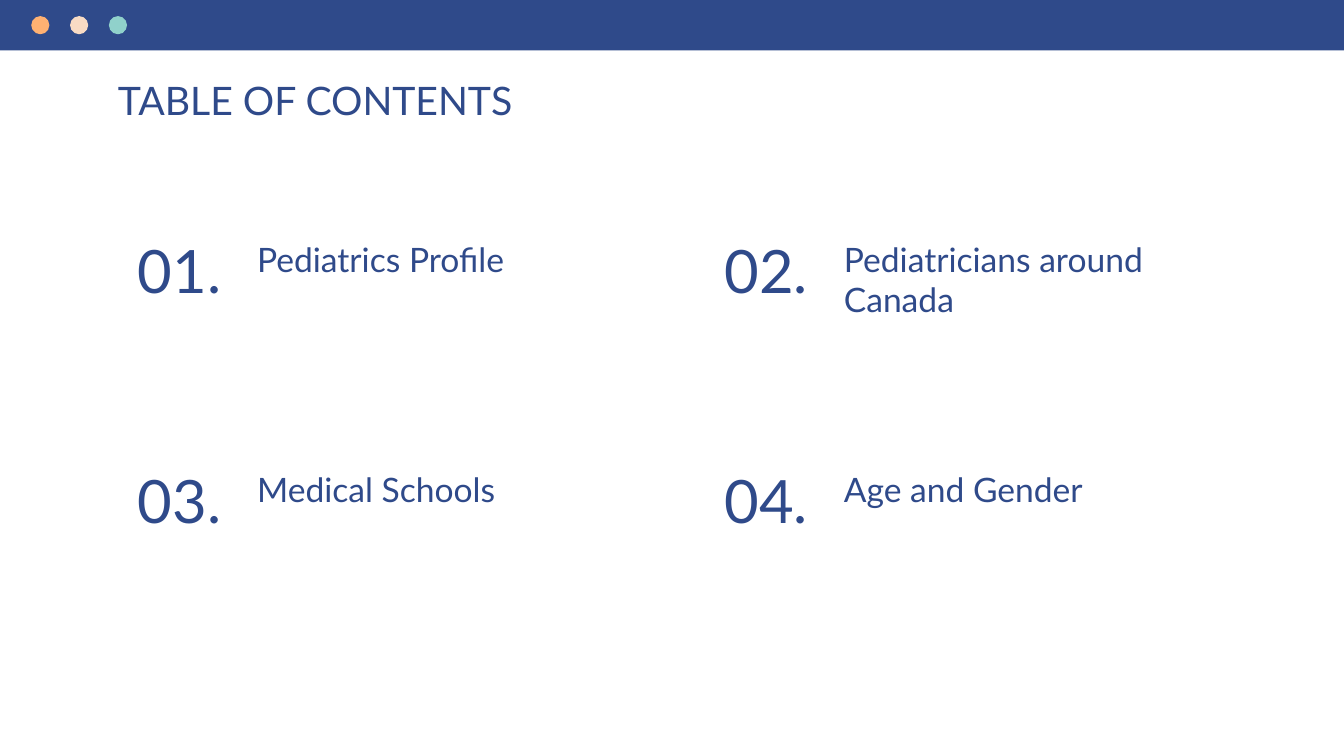
import pptx
import pptx.dml.color
import pptx.enum.shapes
import pptx.enum.text
import pptx.util

Inches = pptx.util.Inches
RGBColor = pptx.dml.color.RGBColor
Shape = pptx.enum.shapes.MSO_SHAPE
Anchor = pptx.enum.text.MSO_ANCHOR
Align = pptx.enum.text.PP_ALIGN

NAVY = RGBColor(0x2F, 0x4A, 0x8A)
ORANGE = RGBColor(0xFF, 0xB1, 0x72)
CREAM = RGBColor(0xF8, 0xDB, 0xC4)
TEAL = RGBColor(0x90, 0xD1, 0xCB)


def write_text(frame, text, size, font, color, align=Align.LEFT, anchor=Anchor.TOP):
    """Fill a text frame with one formatted paragraph."""
    frame.word_wrap = True
    frame.vertical_anchor = anchor
    frame.margin_left = frame.margin_right = Inches(0.13)
    frame.margin_top = frame.margin_bottom = Inches(0.13)
    para = frame.paragraphs[0]
    para.alignment = align
    span = para.add_run()
    span.text = text
    span.font.size = pptx.util.Pt(size)
    span.font.name = font
    span.font.color.rgb = color


class ContentsPage:
    """Holds the style and the current slide."""
    font = "Lato"
    color = NAVY

    def __init__(self, deck):
        self.page = deck.slides.add_slide(deck.slide_layouts[6])

    def text(self, text, left, top, width, height, size, **style):
        box = self.page.shapes.add_textbox(
            Inches(left), Inches(top), Inches(width), Inches(height))
        write_text(box.text_frame, text, size, self.font, self.color, **style)

    def shape(self, kind, left, top, width, height, fill):
        shape = self.page.shapes.add_shape(
            kind, Inches(left), Inches(top), Inches(width), Inches(height))
        shape.shadow.inherit = False
        shape.fill.solid()
        shape.fill.fore_color.rgb = fill
        shape.line.fill.background()

    def entry(self, number, topic, left, top):
        self.text(topic, left + 1.3, top, 3.93, 0.68, 24)
        self.text(f"{number:02}.", left, top + 0.07, 1.32, 0.85, 42.7,
                  align=Align.CENTER, anchor=Anchor.BOTTOM)


def main():
    deck = pptx.Presentation()
    deck.slide_width, deck.slide_height = Inches(13.33), Inches(7.5)
    contents = ContentsPage(deck)

    # Title
    contents.text("TABLE OF CONTENTS", 1.04, 0.63, 11.25, 0.68, 28)

    # Numbered topics, two to a row
    topics = ["Pediatrics Profile", "Pediatricians around Canada",
              "Medical Schools", "Age and Gender"]
    for index, topic in enumerate(topics):
        row, column = divmod(index, 2)
        contents.entry(index + 1, topic, 1.12 + column * 5.82, 2.24 + row * 2.28)

    # Window bar with its three dots
    contents.shape(Shape.RECTANGLE, 0, 0, 13.33, 0.5, NAVY)
    for index, fill in enumerate([ORANGE, CREAM, TEAL]):
        contents.shape(Shape.OVAL, 0.31 + index * 0.385, 0.16, 0.18, 0.18, fill)

    deck.save("out.pptx")


if __name__ == "__main__":
    main()
